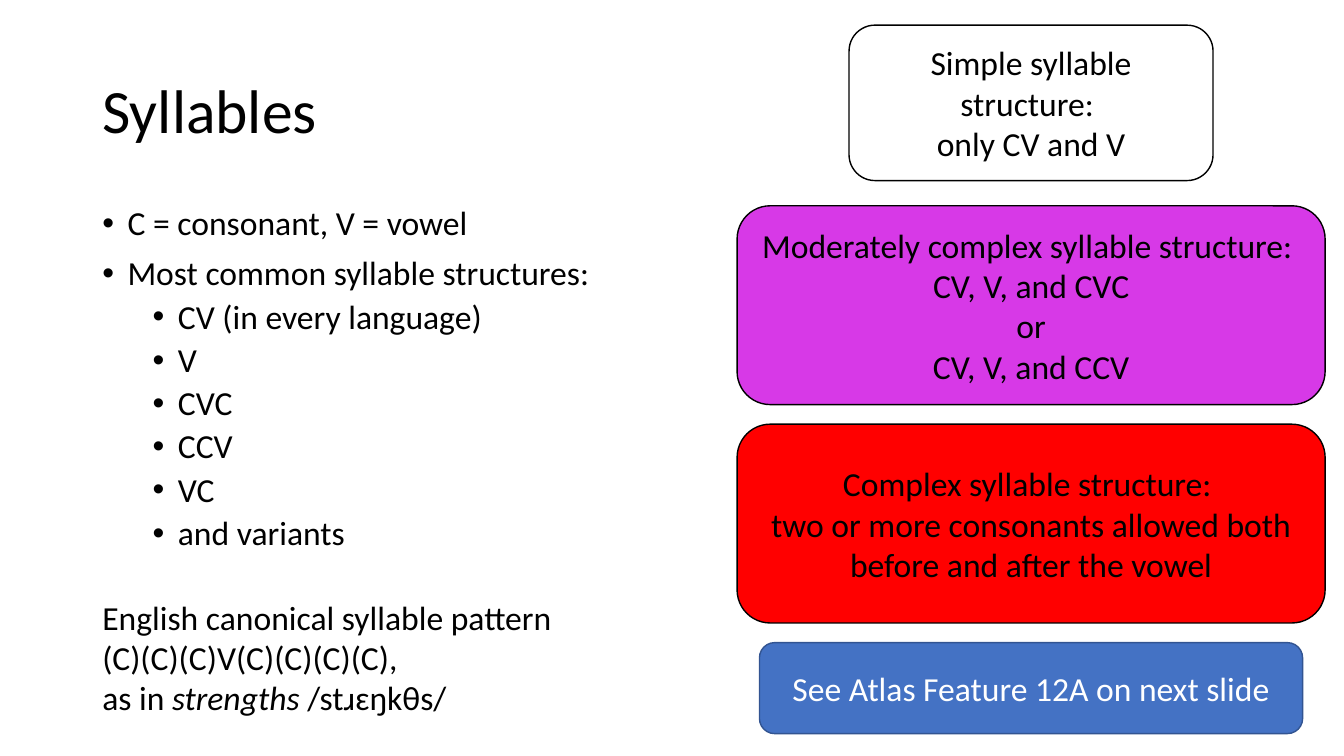
"""Build the slide on syllable structures."""
from lxml.etree import SubElement
from pptx import Presentation
from pptx.dml.color import RGBColor
from pptx.enum.shapes import MSO_SHAPE as Shape
from pptx.enum.text import MSO_ANCHOR as Anchor, MSO_AUTO_SIZE as Fit, PP_ALIGN as Align
from pptx.oxml.ns import qn
from pptx.util import Pt

TITLE = "Syllables"
POINTS = [
    (0, "C = consonant, V = vowel"),
    (0, "Most common syllable structures:"),
    (1, "CV (in every language)"),
    (1, "V"),
    (1, "CVC"),
    (1, "CCV"),
    (1, "VC"),
    (1, "and variants"),
]
ENGLISH = [
    "English canonical syllable pattern",
    "(C)(C)(C)V(C)(C)(C)(C),",
    [("as in ", False), ("strengths", True), (" /stɹɛŋkθs/", False)],
]
BOXES = [
    (18, 260, 111, "FFFFFF", "000000", "000000",
     ["Simple syllable structure: ", "only CV and V"]),
    (147, 420, 142, "D739E7", "000000", "000000",
     ["Moderately complex syllable structure: ", "CV, V, and CVC", "or",
      "CV, V, and CCV"]),
    (303, 420, 142, "FF0000", "000000", "000000",
     ["Complex syllable structure: ",
      "two or more consonants allowed both before and after the vowel"]),
    (459, 388, 65, "4472C4", "325491", "FFFFFF",
     ["See Atlas Feature 12A on next slide"]),
]
LEFT = 66
MIDDLE = 736.5


def paint(color, code):
    color.rgb = RGBColor.from_string(code)


def place(shape, left, top, width, height):
    shape.left, shape.top = Pt(left), Pt(top)
    shape.width, shape.height = Pt(width), Pt(height)


def write(frame, lines, size=24, color="000000", align=Align.LEFT,
          anchor=Anchor.TOP, space=None):
    frame.word_wrap = True
    frame.auto_size = Fit.NONE
    frame.vertical_anchor = anchor
    for i, line in enumerate(lines):
        para = frame.add_paragraph() if i else frame.paragraphs[0]
        para.alignment = align
        if space:
            para.line_spacing = space
        parts = [(line, False)] if isinstance(line, str) else line
        for text, slant in parts:
            run = para.add_run()
            run.text = text
            font = run.font
            font.name, font.size = "Calibri", Pt(size)
            if slant:
                font.italic = True
            paint(font.color, color)


def bullet(para, level):
    para.level = level
    para.space_before = Pt(5 if level else 10)
    props = para._p.get_or_add_pPr()
    props.set("marL", str(Pt(18 + 36 * level)))
    props.set("indent", str(Pt(-18)))
    SubElement(props, qn("a:buFont")).set("typeface", "Arial")
    SubElement(props, qn("a:buChar")).set("char", "•")


def main():
    deck = Presentation()
    deck.slide_width, deck.slide_height = Pt(960), Pt(540)
    slide = deck.slides.add_slide(deck.slide_layouts[5])
    shapes = slide.shapes

    title = shapes.title
    place(title, LEFT, 28.75, 828, 104.4)
    write(title.text_frame, [TITLE], size=44, anchor=Anchor.MIDDLE, space=0.9)

    body = shapes.add_textbox(Pt(LEFT), Pt(144), Pt(420), Pt(256)).text_frame
    write(body, [text for _, text in POINTS], space=0.9)
    for para, (level, _) in zip(body.paragraphs, POINTS):
        bullet(para, level)

    for top, width, height, fill, edge, ink, lines in BOXES:
        box = shapes.add_shape(Shape.ROUNDED_RECTANGLE, Pt(MIDDLE - width / 2),
                               Pt(top), Pt(width), Pt(height))
        box.shadow.inherit = False
        box.fill.solid()
        paint(box.fill.fore_color, fill)
        paint(box.line.color, edge)
        box.line.width = Pt(1)
        write(box.text_frame, lines, color=ink, align=Align.CENTER,
              anchor=Anchor.MIDDLE)

    note = shapes.add_textbox(Pt(LEFT), Pt(422.5), Pt(443.5), Pt(94.5))
    write(note.text_frame, ENGLISH)
    deck.save("out.pptx")


if __name__ == "__main__":
    main()
